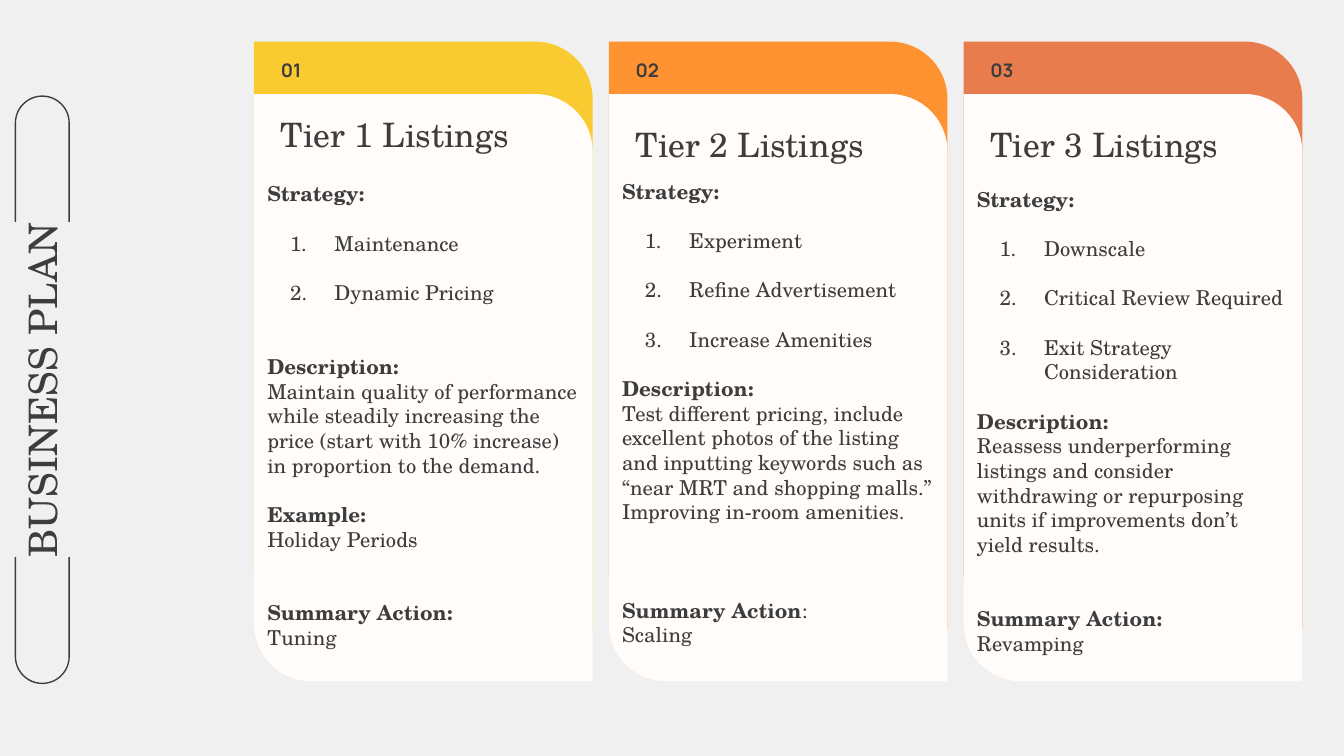
from dataclasses import dataclass

import lxml.etree
import pptx
import pptx.dml.color
import pptx.enum.shapes
import pptx.enum.text
import pptx.oxml.ns
import pptx.util

Inches = pptx.util.Inches
Pt = pptx.util.Pt
ShapeType = pptx.enum.shapes.MSO_SHAPE
Anchor = pptx.enum.text.MSO_ANCHOR


@dataclass(frozen=True)
class Theme:
    background: str = "F0F0F0"
    panel: str = "FFFCFA"
    ink: str = "3D3D3D"
    serif: str = "TeX Gyre Schola"
    sans: str = "Manrope"
    title_size: float = 21
    heading_size: float = 18
    body_size: float = 11
    number_size: float = 10
    body_line: float = 13.2


@dataclass(frozen=True)
class Section:
    label: str
    text: str
    lines_before: int
    plain_tail: str = ""


@dataclass(frozen=True)
class Tier:
    color: str
    strategies: tuple
    sections: tuple
    body_top: float
    heading_spacing: float = 1.15


TIERS = (
    Tier("F9CB31", ("Maintenance", "Dynamic Pricing"), (
        Section("Description:", "Maintain quality of performance while steadily increasing the "
                "price (start with 10% increase) in proportion to the demand.", 2),
        Section("Example:", "Holiday Periods", 1),
        Section("Summary Action:", "Tuning", 2),
    ), 1.25, 0.9),
    Tier("FF9231", ("Experiment", "Refine Advertisement", "Increase Amenities"), (
        Section("Description:", "Test different pricing, include excellent photos of the listing "
                "and inputting keywords such as “near MRT and shopping malls.” "
                "Improving in-room amenities.", 1),
        Section("Summary Action", "Scaling", 3, ":"),
    ), 1.23),
    Tier("E87C4D", ("Downscale", "Critical Review Required", "Exit Strategy Consideration"), (
        Section("Description:", "Reassess underperforming listings and consider withdrawing or "
                "repurposing units if improvements don’t yield results.", 1),
        Section("Summary Action:", "Revamping", 2),
    ), 1.29),
)

CARD_LEFT, CARD_STEP = 1.89, 2.64
CARD_WIDTH, CARD_HEIGHT = 2.52, 4.37
BAND_TOP, PANEL_TOP = 0.31, 0.7
TITLE_BOX = (-1.87, 2.7, 4.37, 0.4)


def rgb(color):
    return pptx.dml.color.RGBColor.from_string(color)


def add_xml(parent, tag, **attributes):
    return lxml.etree.SubElement(parent, pptx.oxml.ns.qn(tag), attributes)


class SlideBuilder:
    def __init__(self, presentation, theme):
        self.theme = theme
        self.slide = presentation.slides.add_slide(presentation.slide_layouts[5])
        fill = self.slide.background.fill
        fill.solid()
        fill.fore_color.rgb = rgb(theme.background)

    def run(self, paragraph, text, size, font=None, bold=False):
        run = paragraph.add_run()
        run.text = text
        run.font.size = Pt(size)
        run.font.bold = bold
        run.font.color.rgb = rgb(self.theme.ink)
        run.font.name = font or self.theme.serif
        return run

    def frame(self, shape, margins, anchor=Anchor.TOP):
        """Set wrapping, anchor and margins (left, top, right, bottom)."""
        frame = shape.text_frame
        frame.word_wrap = True
        frame.auto_size = pptx.enum.text.MSO_AUTO_SIZE.NONE
        frame.vertical_anchor = anchor
        (frame.margin_left, frame.margin_top,
         frame.margin_right, frame.margin_bottom) = map(Inches, margins)
        return frame

    def text_box(self, box, margins):
        return self.frame(self.slide.shapes.add_textbox(*map(Inches, box)), margins)

    def panel(self, box, color):
        """Add a card rounded at its top right and bottom left."""
        shape = self.slide.shapes.add_shape(ShapeType.ROUND_2_DIAG_RECTANGLE, *map(Inches, box))
        shape.shadow.inherit = False
        shape.adjustments[0] = 0.17
        shape.adjustments[1] = 0
        shape.fill.solid()
        shape.fill.fore_color.rgb = rgb(color)
        shape.line.fill.background()
        shape._element.spPr.xfrm.set("flipH", "1")

    def side_title(self, text):
        """Add the upright pill and the title, whose highlight breaks its outline."""
        pill = self.slide.shapes.add_shape(ShapeType.ROUNDED_RECTANGLE, *map(Inches, TITLE_BOX))
        pill.shadow.inherit = False
        pill.adjustments[0] = 0.5
        pill.fill.background()
        pill.line.color.rgb = rgb(self.theme.ink)
        pill.line.width = Pt(0.75)
        pill.rotation = 270

        title = self.slide.shapes.title
        self.slide.shapes._spTree.append(title._element)
        title.left, title.top, title.width, title.height = map(Inches, TITLE_BOX)
        title.rotation = 270
        paragraph = self.frame(title, (0, 0, 0, 0), Anchor.MIDDLE).paragraphs[0]
        paragraph.alignment = pptx.enum.text.PP_ALIGN.CENTER
        run = self.run(paragraph, text, self.theme.title_size)
        properties = run._r.get_or_add_rPr()
        highlight = add_xml(properties, "a:highlight")
        add_xml(highlight, "a:srgbClr", val=self.theme.background)
        properties.find(pptx.oxml.ns.qn("a:solidFill")).addnext(highlight)

    def paragraph(self, frame, lines_before=0):
        paragraph = frame.add_paragraph()
        paragraph.space_before = Pt(lines_before * self.theme.body_line)
        return paragraph

    def numbered_item(self, frame, text):
        paragraph = self.paragraph(frame, 1)
        properties = paragraph._p.get_or_add_pPr()
        properties.set("marL", str(Inches(0.5)))
        properties.set("indent", str(Inches(-0.33)))
        add_xml(add_xml(properties, "a:buClr"), "a:srgbClr", val=self.theme.ink)
        add_xml(properties, "a:buAutoNum", type="arabicPeriod")
        self.run(paragraph, text, self.theme.body_size)

    def body(self, left, tier):
        size = self.theme.body_size
        frame = self.text_box((left, tier.body_top, CARD_WIDTH, 3.64), (0.1, 0.1, 0.1, 0.1))
        self.run(frame.paragraphs[0], "Strategy:", size, bold=True)
        for strategy in tier.strategies:
            self.numbered_item(frame, strategy)
        for section in tier.sections:
            heading = self.paragraph(frame, section.lines_before)
            self.run(heading, section.label, size, bold=True)
            if section.plain_tail:
                self.run(heading, section.plain_tail, size)
            self.run(self.paragraph(frame), section.text, size)

    def card(self, number, tier):
        left = CARD_LEFT + (number - 1) * CARD_STEP
        self.panel((left, BAND_TOP, CARD_WIDTH, CARD_HEIGHT), tier.color)
        self.panel((left, PANEL_TOP, CARD_WIDTH, CARD_HEIGHT), self.theme.panel)

        label = self.text_box((left, 0.44, 1.47, 0.17), (0.2, 0, 0.1, 0))
        self.run(label.paragraphs[0], f"{number:02}", self.theme.number_size,
                 self.theme.sans, bold=True)

        heading = self.text_box((left, 0.88, 2.26, 0.3), (0.2, 0, 0.2, 0)).paragraphs[0]
        heading.line_spacing = tier.heading_spacing
        self.run(heading, f"Tier {number} Listings", self.theme.heading_size)
        self.body(left, tier)


def main():
    presentation = pptx.Presentation()
    presentation.slide_width = Inches(10)
    presentation.slide_height = presentation.slide_width * 9 // 16
    builder = SlideBuilder(presentation, Theme())
    builder.side_title("BUSINESS PLAN")
    for number, tier in enumerate(TIERS, start=1):
        builder.card(number, tier)
    presentation.save("out.pptx")


if __name__ == "__main__":
    main()
